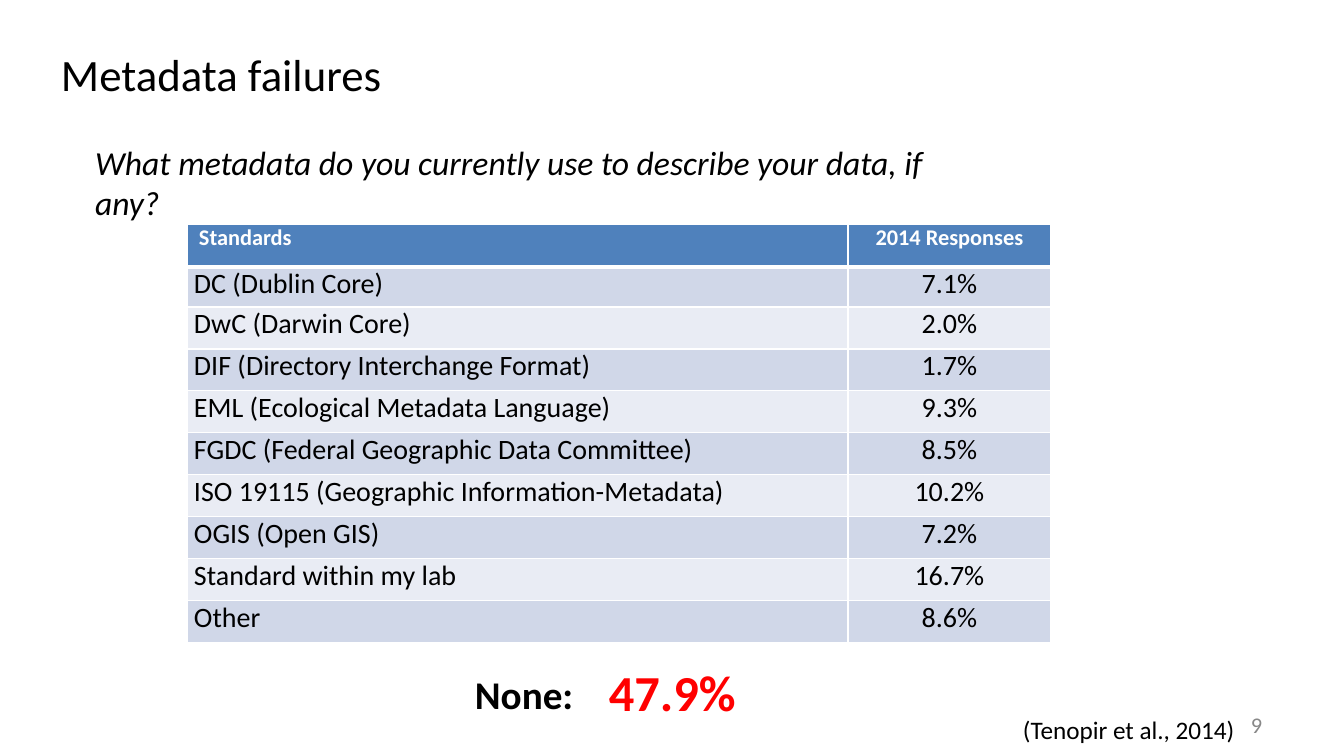
from lxml.etree import SubElement
from pptx import Presentation
from pptx.dml.color import RGBColor
from pptx.enum.text import MSO_ANCHOR, MSO_AUTO_SIZE, PP_ALIGN
from pptx.oxml.ns import qn
from pptx.util import Emu, Pt

COLORS = {
    "text": "000000",
    "accent": "FF0000",
    "page": "888888",
    "white": "FFFFFF",
    "header": "4F81BC",
    "odd_row": "D0D7E8",
    "even_row": "E9ECF4",
}


def px(length):
    return Emu(round(length * 914400 / 100.8))


class SlideBuilder:
    """Holds the style and current slide and adds each kind of element."""

    font = "Calibri"

    def __init__(self, slide):
        self.slide = slide

    def format_frame(self, frame, text, size, color="text", bold=False, italic=False,
                     align=PP_ALIGN.LEFT):
        frame.text = text
        for paragraph in frame.paragraphs:
            paragraph.alignment = align
            for run in paragraph.runs:
                font = run.font
                font.name, font.size = self.font, Pt(size)
                font.bold, font.italic = bold, italic
                font.color.rgb = RGBColor.from_string(COLORS[color])

    def fill_box(self, shape, box, text, size, **style):
        shape.left, shape.top, shape.width, shape.height = map(px, box)
        frame = shape.text_frame
        frame.margin_left = frame.margin_right = frame.margin_top = frame.margin_bottom = 0
        frame.word_wrap = True
        frame.auto_size = MSO_AUTO_SIZE.NONE
        frame.vertical_anchor = MSO_ANCHOR.TOP
        self.format_frame(frame, text, size, **style)

    def title(self, box, text, size):
        self.fill_box(self.slide.shapes.title, box, text, size)

    def label(self, box, text, size, **style):
        shape = self.slide.shapes.add_textbox(*map(px, box))
        self.fill_box(shape, box, text, size, **style)

    def border(self, cell, side, width):
        line = SubElement(cell._tc.get_or_add_tcPr(), qn(f"a:ln{side}"), w=str(Pt(width)))
        fill = SubElement(line, qn("a:solidFill"))
        SubElement(fill, qn("a:srgbClr"), val=COLORS["white"])

    def cell(self, cell, text, row, column):
        header = row == 0
        cell.margin_left = px(0 if column else 12 if header else 7)
        cell.margin_right = cell.margin_top = cell.margin_bottom = 0
        cell.vertical_anchor = MSO_ANCHOR.TOP
        widths = {"L": 1, "R": 1, "T": 3 if row == 1 else 1, "B": 3 if header else 1}
        for side, width in widths.items():
            self.border(cell, side, width)
        cell.fill.solid()
        fill = "header" if header else "odd_row" if row % 2 else "even_row"
        cell.fill.fore_color.rgb = RGBColor.from_string(COLORS[fill])
        self.format_frame(cell.text_frame, text, 16 if header else 20,
                          color="white" if header else "text", bold=header,
                          align=PP_ALIGN.CENTER if column else PP_ALIGN.LEFT)

    def table(self, left, top, column_widths, row_heights, rows):
        frame = self.slide.shapes.add_table(
            len(rows), len(column_widths), px(left), px(top),
            px(sum(column_widths)), px(sum(row_heights)))
        table = frame.table
        for column, width in zip(table.columns, column_widths):
            column.width = px(width)
        for row, height in zip(table.rows, row_heights):
            row.height = px(height)
        for row_index, values in enumerate(rows):
            for column_index, value in enumerate(values):
                self.cell(table.cell(row_index, column_index), value, row_index, column_index)


STANDARDS = [
    ("Standards", "2014 Responses"),
    ("DC (Dublin Core)", "7.1%"),
    ("DwC (Darwin Core)", "2.0%"),
    ("DIF (Directory Interchange Format)", "1.7%"),
    ("EML (Ecological Metadata Language)", "9.3%"),
    ("FGDC (Federal Geographic Data Committee)", "8.5%"),
    ("ISO 19115 (Geographic Information-Metadata)", "10.2%"),
    ("OGIS (Open GIS)", "7.2%"),
    ("Standard within my lab", "16.7%"),
    ("Other", "8.6%"),
]

presentation = Presentation()
presentation.slide_width, presentation.slide_height = px(1344), px(756)
title_only = presentation.slide_layouts[5]
builder = SlideBuilder(presentation.slides.add_slide(title_only))

builder.title((61, 47, 1250, 47), "Metadata failures", 32)
builder.label((95, 142, 890, 82),
              "What metadata do you currently use to describe your data, if any?", 24, italic=True)
builder.label((1251, 711, 20, 25), "9", 16, color="page")
builder.label((1023, 714, 225, 30), "(Tenopir et al., 2014)", 18)
builder.label((475, 670, 110, 42), "None:", 28, bold=True)
builder.label((609, 661, 140, 53), "47.9%", 36, color="accent", bold=True)
builder.table(187, 224, [661, 203], [43, 40] + [42] * 8, STANDARDS)

presentation.save("out.pptx")
